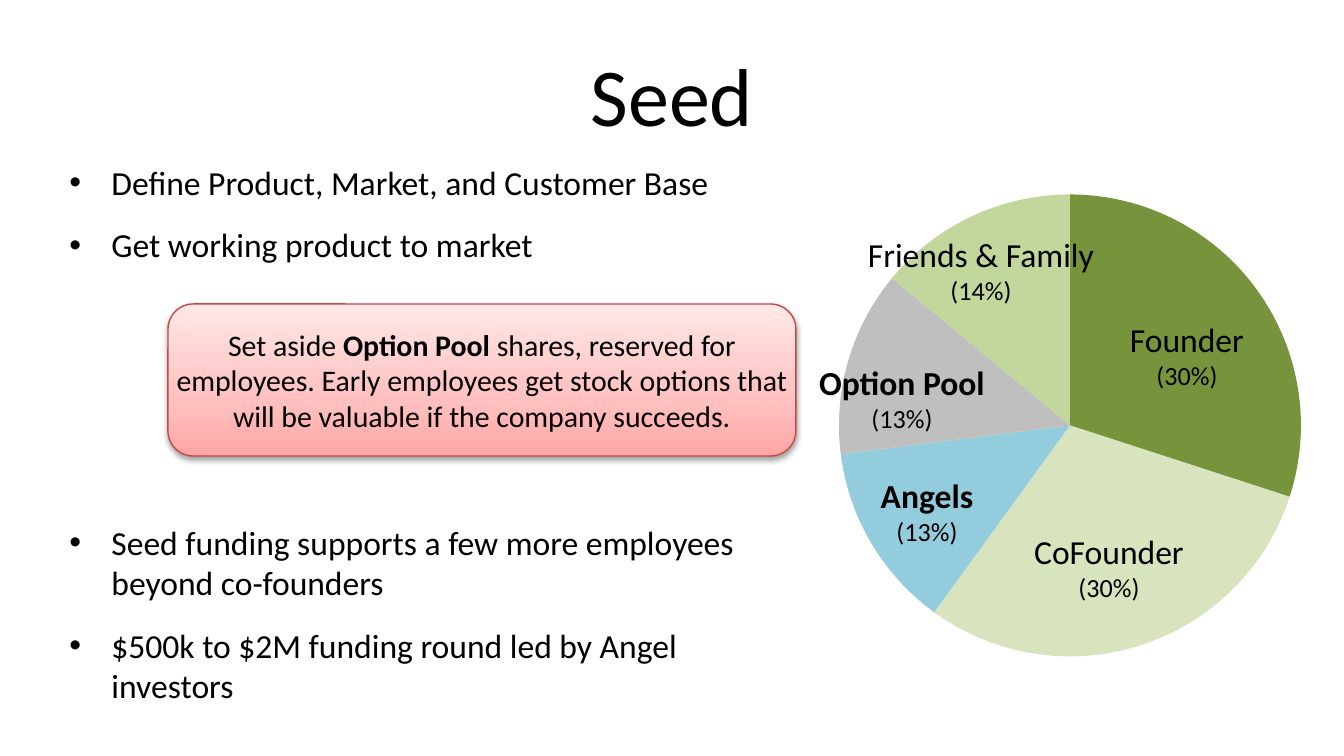
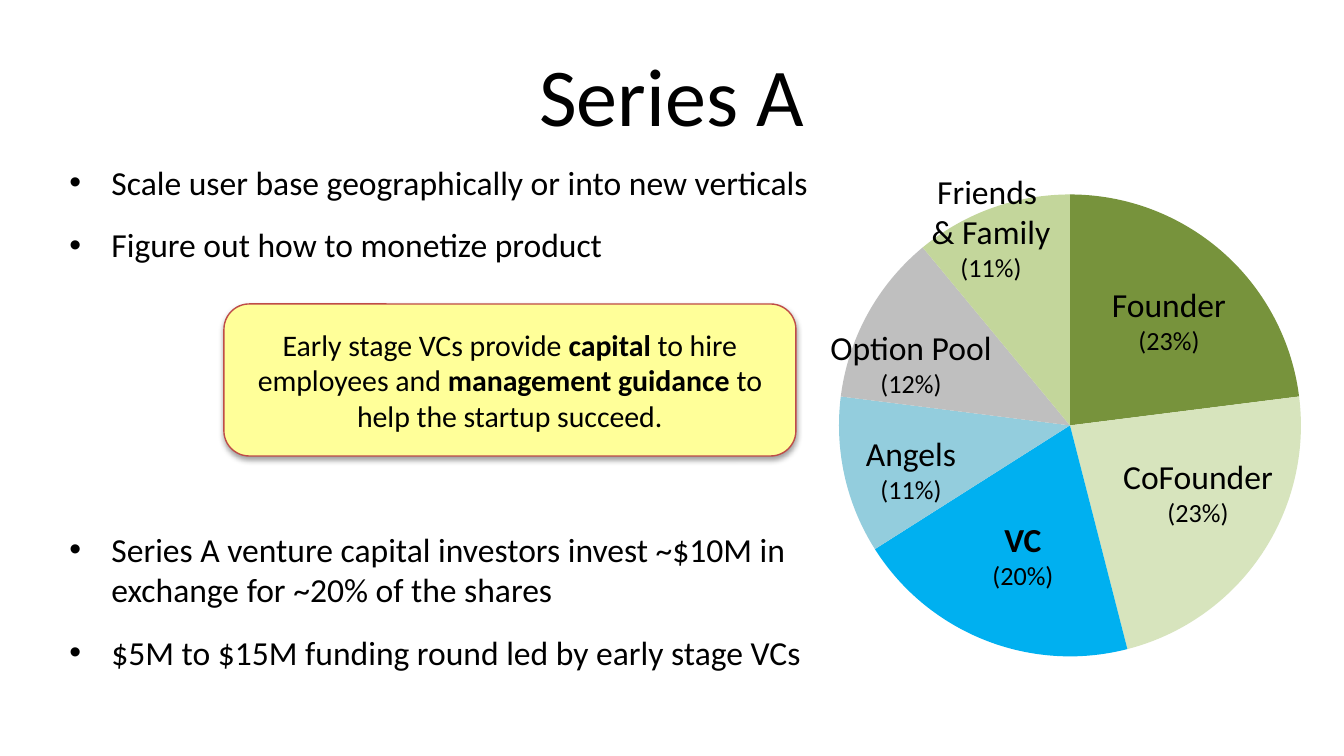
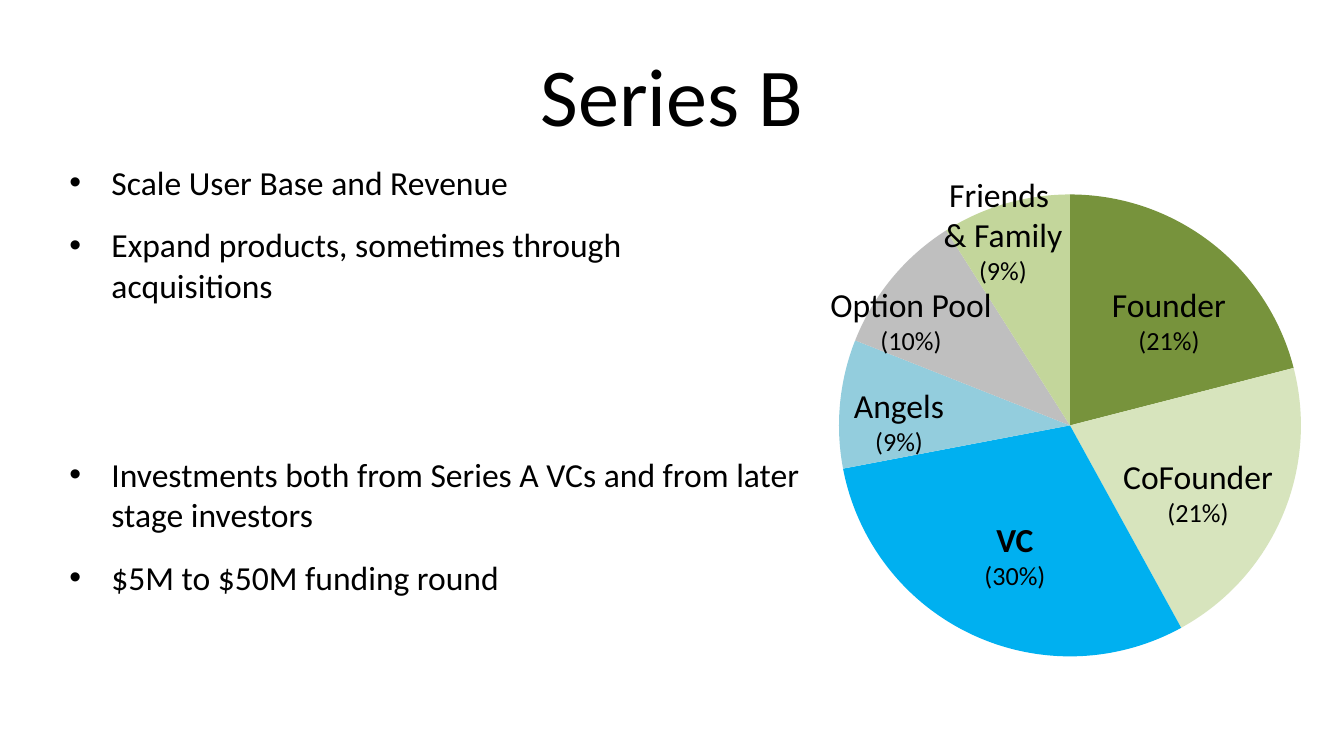
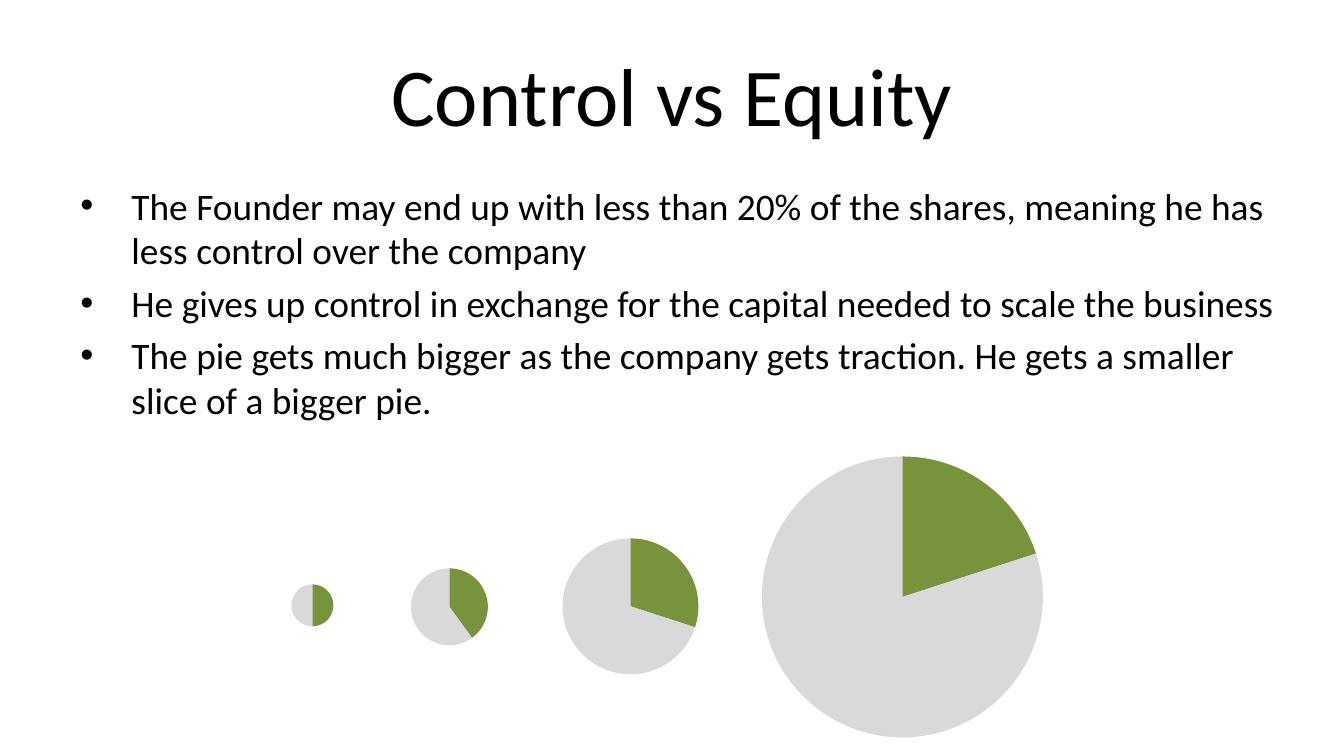
from copy import deepcopy

from pptx import Presentation, oxml, util as u
from pptx.chart.data import CategoryChartData
from pptx.dml.color import RGBColor
from pptx.enum import chart as charts, shapes, text
from pptx.oxml.ns import nsdecls, qn

FONT = "Calibri"
BLACK, GREEN, PALE, GREY = "000000", "77933C", "D7E4BD", "D9D9D9"
BORDER = "BF4C48"
BLUSH = [(0, "FFA6A5"), (0.35, "FFC0BF"), (1, "FFE7E7")]

TITLE = (67, 31, 1210, 126)
PIE = (796, 176, 548, 499)
MARGIN = 37  # free height around a pie, both sides together

# Holder: slice colour, label width
HOLDERS = {
    "Founder": (GREEN, 142),
    "CoFounder": (PALE, 179),
    "VC": ("00B0F0", 89),
    "Angels": ("93CDDD", 119),
    "Option Pool": ("BFBFBF", 193),
    "Friends & Family": ("C3D69B", 255),
    "Friends \v& Family": ("C3D69B", 146),
}


def px(n):
    """Turn pixels into EMU."""
    return u.Emu(round(n * 914400 / 134.4))


def place(box):
    """Turn a pixel box into EMU lengths."""
    return [px(n) for n in box]


def rgb(code):
    """Make a colour from a hex string."""
    return RGBColor.from_string(code)


def style(font, size, bold=None):
    """Set the shared face and colour, with a size and weight."""
    font.name, font.size, font.bold = FONT, u.Pt(size), bold
    font.color.rgb = rgb(BLACK)


def move(holder, box):
    """Put a placeholder into a box and return its text frame."""
    holder.left, holder.top, holder.width, holder.height = place(box)
    frame = holder.text_frame
    frame.auto_size = text.MSO_AUTO_SIZE.NONE
    return frame


def head(slide, words):
    """Fill the title."""
    frame = move(slide.shapes.title, TITLE)
    frame.vertical_anchor = text.MSO_ANCHOR.MIDDLE
    frame.text = words
    para = frame.paragraphs[0]
    para.alignment = text.PP_ALIGN.CENTER
    style(para.font, 44)


def bullets(holder, box, items, size, indent, gap=None):
    """Fill a body placeholder with a bulleted list."""
    frame = move(holder, box)
    frame.text = "\n".join(items)
    for para in frame.paragraphs:
        style(para.font, size)
        if gap:
            para.space_before = u.Pt(gap)
        props = para._p.get_or_add_pPr()
        props.set("marL", str(px(indent)))
        props.set("indent", str(px(-indent)))


def pie(slide, box, values, colours):
    """Draw a bare pie, centred in its box."""
    data = CategoryChartData()
    data.categories = [str(n + 1) for n in range(len(values))]
    data.add_series("Series 1", values)
    chart = slide.shapes.add_chart(
        charts.XL_CHART_TYPE.PIE, *place(box), data).chart
    chart.has_legend = chart.has_title = False
    style(chart.font, 18)
    plot = chart.plots[0]
    plot.vary_by_categories = True
    for n, code in enumerate(colours):
        form = plot.series[0].points[n].format
        form.fill.solid()
        form.fill.fore_color.rgb = rgb(code)
        form.line.fill.background()

    root = chart._chartSpace
    root.find(qn("c:chart")).addnext(oxml.parse_xml(
        f'<c:spPr {nsdecls("c", "a")}><a:noFill/><a:ln><a:noFill/></a:ln></c:spPr>'))
    wide, high = box[2:]
    side = high - MARGIN
    w, h = side / wide, side / high
    parts = {"x": (1 - w) / 2, "y": (1 - h) / 2, "w": w, "h": h}
    modes = '<c:layoutTarget val="inner"/><c:xMode val="edge"/><c:yMode val="edge"/>'
    sizes = "".join(f'<c:{k} val="{v:.4f}"/>' for k, v in parts.items())
    area = root.find(".//" + qn("c:plotArea"))
    for old in area.findall(qn("c:layout")):
        area.remove(old)
    area.insert(0, oxml.parse_xml(
        f'<c:layout {nsdecls("c")}><c:manualLayout>{modes}{sizes}'
        '</c:manualLayout></c:layout>'))


def label(slide, name, share, mid, top, bold=False):
    """Write a holder and its share, centred on mid."""
    wide = HOLDERS[name][1]
    high = 126 if "\v" in name else 86
    frame = slide.shapes.add_textbox(
        *place((mid - wide / 2, top, wide, high))).text_frame
    frame.word_wrap = False
    frame.auto_size = text.MSO_AUTO_SIZE.SHAPE_TO_FIT_TEXT
    para = frame.paragraphs[0]
    para.alignment = text.PP_ALIGN.CENTER
    for n, line in enumerate(name.split("\v")):
        if n:
            para.add_line_break()
        run = para.add_run()
        run.text = line
        style(run.font, 18, bold)
    para.add_line_break()
    run = para.add_run()
    run.text = f"({share}%)"
    style(run.font, 14)


def note(slide, box, fill, pieces):
    """Draw a rounded note; every second piece of text is bold."""
    shape = slide.shapes.add_shape(
        shapes.MSO_SHAPE.ROUNDED_RECTANGLE, *place(box))
    if isinstance(fill, str):
        shape.fill.solid()
        shape.fill.fore_color.rgb = rgb(fill)
    else:
        shape.fill.gradient()
        shape.fill.gradient_angle = 90
        stops = shape._element.spPr.find(".//" + qn("a:gsLst"))
        stops.append(deepcopy(stops[0]))
        for stop, (spot, code) in zip(shape.fill.gradient_stops, fill):
            stop.position = spot
            stop.color.rgb = rgb(code)
    shape.line.color.rgb = rgb(BORDER)
    shape.line.width = u.Pt(0.75)
    shape.shadow.inherit = False
    shape._element.spPr.find(qn("a:effectLst")).append(oxml.parse_xml(
        f'<a:outerShdw {nsdecls("a")} blurRad="40000" dist="20000" dir="5400000" '
        f'rotWithShape="0"><a:srgbClr val="{BLACK}"><a:alpha val="38000"/>'
        '</a:srgbClr></a:outerShdw>'))
    frame = shape.text_frame
    frame.word_wrap = True
    frame.vertical_anchor = text.MSO_ANCHOR.MIDDLE
    frame.margin_left = frame.margin_right = 0
    frame.margin_top = frame.margin_bottom = 0
    para = frame.paragraphs[0]
    para.alignment = text.PP_ALIGN.CENTER
    para.space_before = u.Pt(12)
    style(para.font, 16)
    for n, piece in enumerate(pieces):
        run = para.add_run()
        run.text = piece
        style(run.font, 16, n % 2 == 1)


def stage(deck, title, lists, slices, hint=None):
    """Build a funding stage: two lists, a labelled pie, maybe a note."""
    slide = deck.slides.add_slide(deck.slide_layouts[3])
    head(slide, title)
    for idx, (box, items) in enumerate(lists, 1):
        bullets(slide.placeholders[idx], box, items, 18, 42, 12)
    pie(slide, PIE, [s[1] for s in slices], [HOLDERS[s[0]][0] for s in slices])
    for part in slices:
        label(slide, *part)
    if hint:
        note(slide, *hint)


def growth(deck, title, box, items, pies):
    """Build the closing slide: a list above a row of growing pies."""
    slide = deck.slides.add_slide(deck.slide_layouts[1])
    head(slide, title)
    bullets(slide.placeholders[1], box, items, 20, 51)
    for share, spot in pies:
        pie(slide, spot, [share, None, 100 - share], [GREEN, PALE, GREY])


deck = Presentation()
deck.slide_width, deck.slide_height = px(1344), px(756)

stage(
    deck, "Seed",
    [((56, 155, 773, 118), ["Define Product, Market, and Customer Base",
                            "Get working product to market"]),
     ((56, 515, 716, 199), [
         "Seed funding supports a few more employees beyond co-founders",
         "$500k to $2M funding round led by Angel investors"])],
    [("Founder", 30, 1187, 312),
     ("CoFounder", 30, 1109, 524),
     ("Angels", 13, 927, 468, True),
     ("Option Pool", 13, 902, 355, True),
     ("Friends & Family", 14, 981, 227)],
    ((168, 304, 628, 152), BLUSH,
     ["Set aside ", "Option Pool ",
      "shares, reserved for employees. Early employees get stock options "
      "that will be valuable if the company succeeds."]))

stage(
    deck, "Series A",
    [((56, 155, 773, 118), ["Scale user base geographically or into new verticals",
                            "Figure out how to monetize product"]),
     ((56, 522, 773, 159), [
         "Series A venture capital investors invest ~$10M in exchange for "
         "~20% of the shares",
         "$5M to $15M funding round led by early stage VCs"])],
    [("Founder", 23, 1169, 277),
     ("CoFounder", 23, 1198, 449),
     ("VC", 20, 1023, 512, True),
     ("Angels", 11, 911, 426),
     ("Option Pool", 12, 911, 320),
     ("Friends \v& Family", 11, 991, 164)],
    ((224, 304, 572, 152), "FFFF99",
     ["Early stage VCs provide ", "capital", " to hire employees and ",
      "management guidance ", "to help the startup succeed."]))

stage(
    deck, "Series B",
    [((56, 155, 683, 159), ["Scale User Base and Revenue",
                            "Expand products, sometimes through acquisitions"]),
     ((56, 447, 773, 159), [
         "Investments both from Series A VCs and from later stage investors",
         "$5M to $50M funding round"])],
    [("Founder", 21, 1169, 277),
     ("CoFounder", 21, 1198, 449),
     ("VC", 30, 1015, 512, True),
     ("Angels", 9, 899, 378),
     ("Option Pool", 10, 911, 277),
     ("Friends \v& Family", 9, 1003, 167)])

growth(
    deck, "Control vs Equity", (67, 176, 1232, 292),
    ["The Founder may end up with less than 20% of the shares, meaning he has "
     "less control over the company",
     "He gives up control in exchange for the capital needed to scale the business",
     "The pie gets much bigger as the company gets traction. He gets a smaller "
     "slice of a bigger pie."],
    [(50, (269, 566, 87, 79)),
     (40, (387, 550, 125, 114)),
     (30, (535, 520, 191, 173)),
     (20, (728, 438, 349, 318))])

deck.save("out.pptx")
